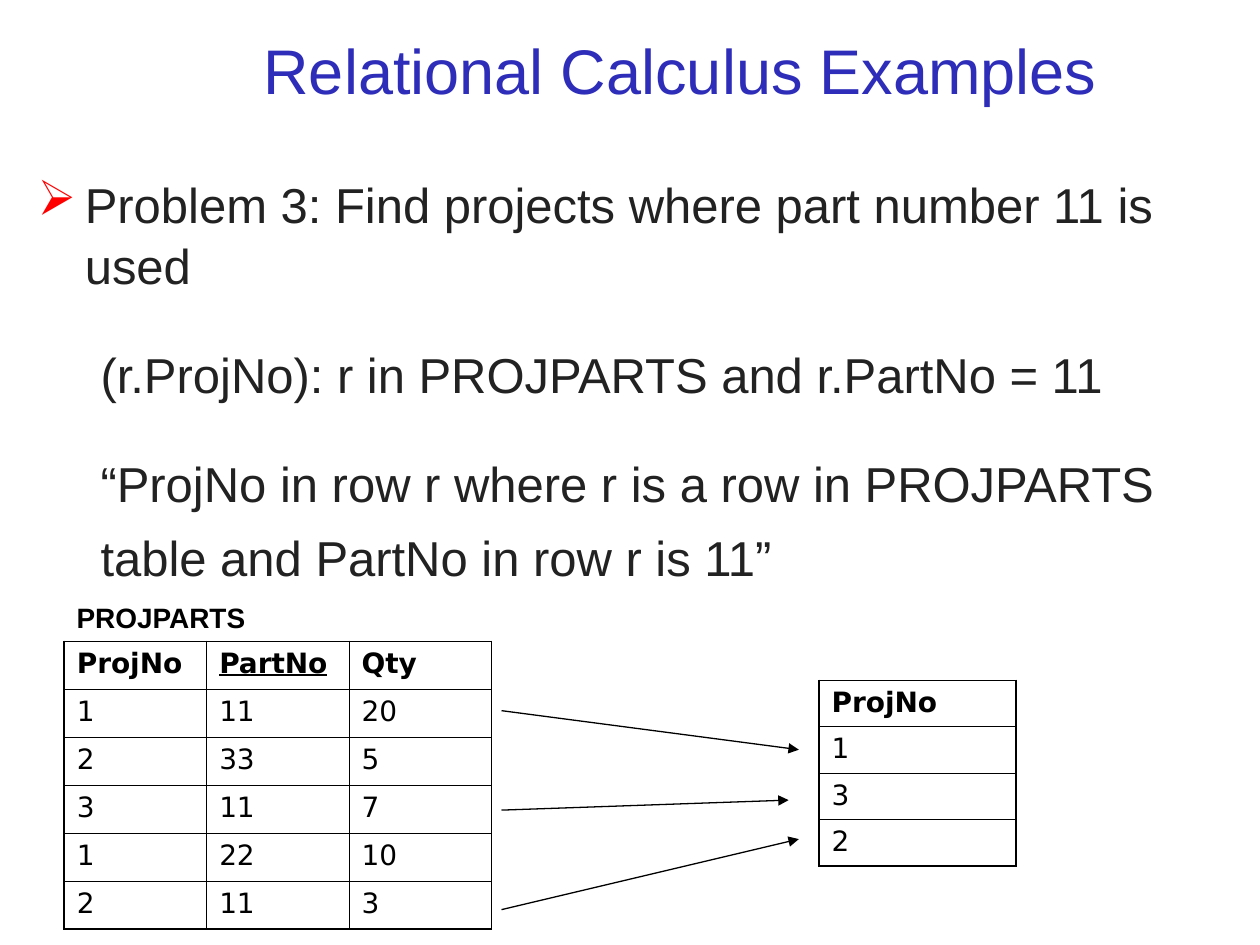
"""Builds a slide that explains a relational calculus query with two tables."""
from dataclasses import dataclass

from lxml import etree
from pptx import Presentation
from pptx.dml.color import RGBColor
from pptx.enum import shapes, text
from pptx.oxml import ns
from pptx.util import Pt


@dataclass(frozen=True)
class Theme:
    title: str = "2D2DB9"
    body: str = "222222"
    bullet: str = "FF0000"
    ink: str = "000000"
    font: str = "Arial"
    table_font: str = "DejaVu Sans"
    title_size: int = 36
    body_size: int = 28
    small_size: int = 16
    outer_line: float = 1.08
    inner_line: float = 0.45
    arrow_line: float = 0.75


THEME = Theme()
SLIDE_SIZE = (720, 540)
TITLE = ("Relational Calculus Examples", (82, 9.4, 613.4, 60.5))
BODY_BOX = (14.4, 94.3, 692, 244)
BODY = [
    {"text": "Problem 3: Find projects where part number 11 is used", "level": 0, "before": 0},
    {"text": "(r.ProjNo): r in PROJPARTS and r.PartNo = 11", "level": 1, "before": 27},
    {"text": "“ProjNo in row r where r is a row in PROJPARTS", "level": 1, "before": 27},
    {"text": "table and PartNo in row r is 11”", "level": 1, "before": 7},
]
INDENTS = [(27, -27), (58.5, -22.5)]
LABEL = ("PROJPARTS", (36.7, 339.8, 111.6, 26.6))
PROJPARTS = {
    "at": (36.7, 366.5), "column": 81.4, "row": 27.4, "key": "PartNo",
    "rows": [("ProjNo", "PartNo", "Qty"), ("1", "11", "20"), ("2", "33", "5"),
             ("3", "11", "7"), ("1", "22", "10"), ("2", "11", "3")],
}
RESULT = {
    "at": (468, 388.8), "column": 112.5, "row": 26.5, "key": None,
    "rows": [("ProjNo",), ("1",), ("3",), ("2",)],
}
ARROW_START = (286.6, 406.1)
ARROW_STEP = 56.85
ARROW_ENDS = [(456.5, 428.4), (450.7, 457.2), (456.5, 479.5)]


def points(values):
    return [Pt(value) for value in values]


def add_xml(parent, tag, **attributes):
    return etree.SubElement(parent, ns.qn(tag), attributes)


def style(paragraph, size, color, font=THEME.font, bold=False, underline=False):
    for span in paragraph.runs:
        span.font.name = font
        span.font.size = Pt(size)
        span.font.bold = bold
        span.font.underline = underline
        span.font.color.rgb = RGBColor.from_string(color)


def add_title(page):
    words, place = TITLE
    box = page.shapes.title
    box.left, box.top, box.width, box.height = points(place)
    frame = box.text_frame
    frame.text = words
    frame.vertical_anchor = text.MSO_ANCHOR.MIDDLE
    frame.paragraphs[0].alignment = text.PP_ALIGN.CENTER
    style(frame.paragraphs[0], THEME.title_size, THEME.title)


def add_body(page):
    frame = page.shapes.add_textbox(*points(BODY_BOX)).text_frame
    frame.word_wrap = True
    for index, item in enumerate(BODY):
        paragraph = frame.add_paragraph() if index else frame.paragraphs[0]
        paragraph.text = item["text"]
        paragraph.level = item["level"]
        paragraph.line_spacing = 1.05
        paragraph.space_before = Pt(item["before"])
        margin, indent = INDENTS[item["level"]]
        properties = paragraph._p.get_or_add_pPr()
        properties.set("marL", str(Pt(margin)))
        properties.set("indent", str(Pt(indent)))
        if item["level"] == 0:
            add_xml(add_xml(properties, "a:buClr"), "a:srgbClr", val=THEME.bullet)
            add_xml(properties, "a:buChar", char="➢")
        else:
            add_xml(properties, "a:buNone")
        style(paragraph, THEME.body_size, THEME.body)


def add_label(page):
    words, place = LABEL
    frame = page.shapes.add_textbox(*points(place)).text_frame
    frame.word_wrap = False
    frame.auto_size = text.MSO_AUTO_SIZE.SHAPE_TO_FIT_TEXT
    frame.text = words
    style(frame.paragraphs[0], THEME.small_size, THEME.ink, bold=True)


def set_borders(cell, outer_sides):
    properties = cell._tc.get_or_add_tcPr()
    for side, is_outer in outer_sides.items():
        width = THEME.outer_line if is_outer else THEME.inner_line
        line = add_xml(properties, f"a:ln{side}", w=str(Pt(width)))
        add_xml(add_xml(line, "a:solidFill"), "a:srgbClr", val=THEME.ink)


def add_grid(page, data):
    rows = data["rows"]
    count, width = len(rows), len(rows[0])
    size = (width * data["column"], count * data["row"])
    grid = page.shapes.add_table(count, width, *points(data["at"] + size)).table
    grid.first_row = grid.horz_banding = False
    for column in grid.columns:
        column.width = Pt(data["column"])
    for r, values in enumerate(rows):
        grid.rows[r].height = Pt(data["row"])
        for c, value in enumerate(values):
            cell = grid.cell(r, c)
            cell.text_frame.text = value
            style(cell.text_frame.paragraphs[0], THEME.small_size, THEME.ink,
                  THEME.table_font, bold=r == 0, underline=value == data["key"])
            set_borders(cell, {"L": c == 0, "R": c == width - 1,
                               "T": r == 0, "B": r == count - 1})
            cell.fill.background()


def add_arrows(page):
    left, top = ARROW_START
    for index, end in enumerate(ARROW_ENDS):
        start = (left, top + index * ARROW_STEP)
        arrow = page.shapes.add_connector(shapes.MSO_CONNECTOR.STRAIGHT, *points(start + end))
        arrow.line.width = Pt(THEME.arrow_line)
        arrow.line.color.rgb = RGBColor.from_string(THEME.ink)
        add_xml(arrow.line._get_or_add_ln(), "a:tailEnd", type="triangle")
        add_xml(arrow._element.spPr, "a:effectLst")


def main():
    deck = Presentation()
    deck.slide_width, deck.slide_height = points(SLIDE_SIZE)
    page = deck.slides.add_slide(deck.slide_layouts[5])
    add_title(page)
    add_body(page)
    add_grid(page, PROJPARTS)
    add_label(page)
    add_grid(page, RESULT)
    add_arrows(page)
    deck.save("out.pptx")


if __name__ == "__main__":
    main()
